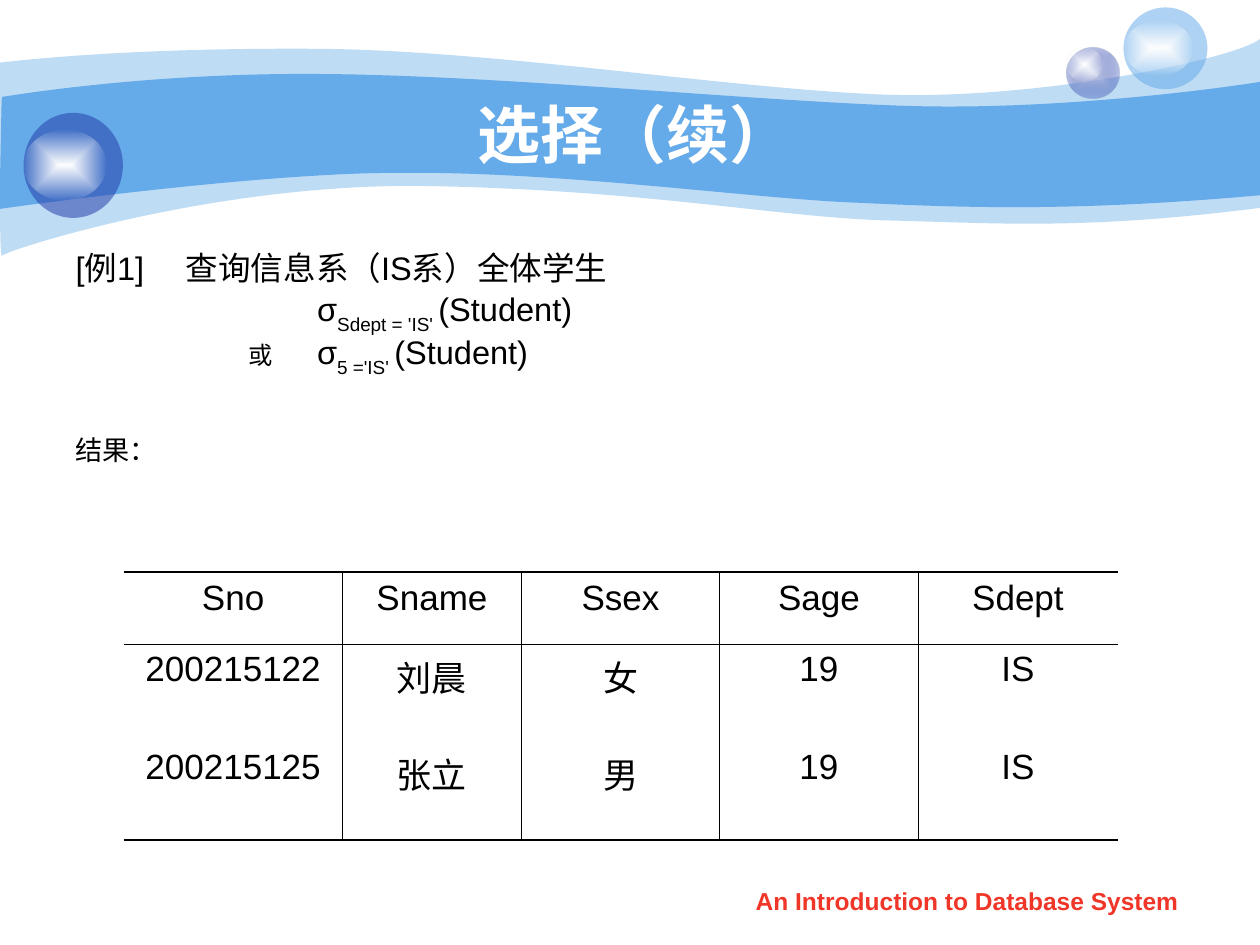
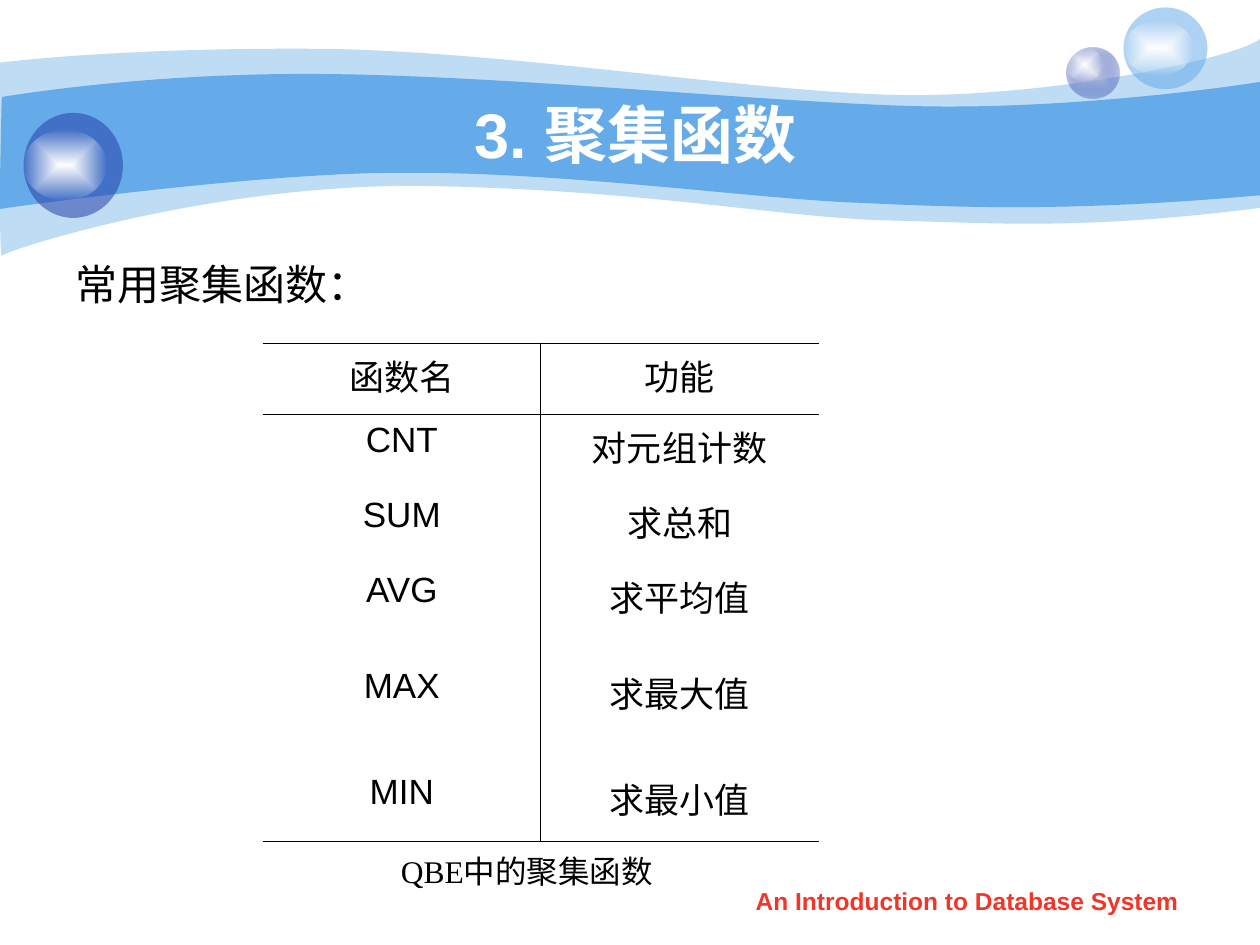
from dataclasses import dataclass
from typing import Optional

from lxml.etree import SubElement
from pptx import Presentation
from pptx.dml.color import RGBColor
from pptx.enum.shapes import MSO_SHAPE
from pptx.enum.text import MSO_ANCHOR, MSO_AUTO_SIZE, PP_ALIGN
from pptx.oxml.ns import qn
from pptx.shapes.autoshape import Shape
from pptx.shapes.group import GroupShape
from pptx.slide import Slide, SlideMaster
from pptx.table import _Cell
from pptx.text.text import TextFrame, _Paragraph, _Run
from pptx.util import Pt

SKY = RGBColor(0x65, 0xAA, 0xE9)
NAVY = RGBColor(0x23, 0x3D, 0xA9)
LAVENDER = RGBColor(0xC7, 0xCE, 0xE9)
WHITE = RGBColor(0xFF, 0xFF, 0xFF)
BLACK = RGBColor(0x00, 0x00, 0x00)
RED = RGBColor(0xF0, 0x36, 0x28)

SANS = "Arial"
SERIF = "Times New Roman"
THICK, THIN = 1.08, 0.45

Point = tuple[float, float]


@dataclass(frozen=True)
class Box:
    left: float
    top: float
    width: float
    height: float

    def lengths(self) -> tuple[Pt, Pt, Pt, Pt]:
        return Pt(self.left), Pt(self.top), Pt(self.width), Pt(self.height)


@dataclass(frozen=True)
class Wave:
    start: Point
    curves: list[tuple[Point, ...]]
    opacity: int


@dataclass(frozen=True)
class Orb:
    ball: Box
    glow: Box
    color: RGBColor
    opacity: int
    center: Optional[RGBColor] = None


@dataclass(frozen=True)
class Piece:
    text: str
    size: float
    subscript: bool = False


@dataclass(frozen=True)
class Line:
    pieces: list[Piece]
    margin: float = 27
    hanging: float = 27
    space_before: float = 0
    spacing: float = 1


@dataclass(frozen=True)
class Grid:
    left: float
    top: float
    widths: list[float]
    heights: list[float]
    rows: list[list[str]]


WAVES = [
    Wave((0, 35.8), [
        ((17.3, 33.8), (77.8, 27.4), (177.8, 27.9)),
        ((277.9, 28.1), (414, 50.4), (503.3, 54)),
        ((591.8, 57.6), (705.6, 33.8), (720, 22.3)),
        ((720, 118.8),),
        ((618.5, 131.8), (567.4, 127.4), (507.6, 126)),
        ((447.8, 124.6), (370.8, 108.7), (247, 106.4)),
        ((123.8, 103.7), (2.9, 143.3), (1.1, 146.2)),
        ((-0.7, 149.8), (0, 54), (0, 35.8)),
    ], 41),
    Wave((1.1, 55.4), [
        ((2.2, 55.4), (79.2, 41.8), (178.6, 42.3)),
        ((278.6, 42.5), (429.1, 57.6), (517, 60.5)),
        ((605.5, 63.4), (702.7, 49.7), (720, 46.8)),
        ((720, 111.6),),
        ((614.2, 121), (551.5, 118.8), (491, 115.9)),
        ((431.3, 113.8), (321.8, 97.9), (228.2, 98.8)),
        ((146.2, 98.6), (-1.4, 119.5), (-0.7, 119.5)),
        ((0, 119.5), (0.7, 55.4), (1.1, 55.4)),
    ], 100),
]

ORBS = [
    Orb(Box(609.5, 27.25, 30.25, 29), Box(609.5, 27.25, 20.25, 19.5), NAVY, 31, LAVENDER),
    Orb(Box(642, 4.25, 48, 46.75), Box(642, 12, 40, 31), SKY, 53),
    Orb(Box(13.5, 64.5, 56.75, 60), Box(13.5, 74, 47.5, 40.5), NAVY, 53),
]

TITLE_BOX = Box(72, 54, 582, 44.5)
FOOTER_BOX = Box(411, 502.5, 283.5, 25)
FOOTER = "An Introduction to Database System"

SELECTION_LINES = [
    Line([Piece("[例1]\t查询信息系（IS系）全体学生", 18.6)], 63, 63, spacing=0.7),
    Line([Piece("σ", 18.6), Piece("Sdept = 'IS' ", 18.6, True),
          Piece("(Student)", 18.6)], 138, 0, 6, 0.7),
    Line([Piece("或\t", 13.9), Piece("σ", 18.6), Piece("5 ='IS' ", 18.6, True),
          Piece("(Student)", 18.6)], 138, 39, 6, 0.7),
    Line([Piece("结果：", 15.5)], space_before=40.5, spacing=0.7),
]
STUDENTS = Grid(70.75, 327, [125, 102.25, 113.25, 113.5, 114], [41, 56, 56], [
    ["Sno", "Sname", "Ssex", "Sage", "Sdept"],
    ["200215122", "刘晨", "女", "19", "IS"],
    ["200215125", "张立", "男", "19", "IS"],
])
AGGREGATES = Grid(150.25, 196.25, [158.75, 158.75], [40.5, 43, 42.75, 55, 60.5, 43], [
    ["函数名", "功能"],
    ["CNT", "对元组计数"],
    ["SUM", "求总和"],
    ["AVG", "求平均值"],
    ["MAX", "求最大值"],
    ["MIN", "求最小值"],
])


def style_run(run: _Run, size: float, color: RGBColor = BLACK,
              bold: bool = False, font: str = SANS) -> None:
    run.font.name = font
    run.font.size = Pt(size)
    run.font.color.rgb = color
    run.font.bold = bold


def write(frame: TextFrame, text: str, size: float, color: RGBColor = BLACK,
          bold: bool = False, font: str = SANS,
          align: PP_ALIGN = PP_ALIGN.CENTER) -> None:
    frame.text = text
    paragraph = frame.paragraphs[0]
    paragraph.alignment = align
    style_run(paragraph.runs[0], size, color, bold, font)


def paint(shape: Shape, color: RGBColor, opacity: int) -> None:
    shape.shadow.inherit = False
    shape.line.fill.background()
    shape.fill.solid()
    shape.fill.fore_color.rgb = color
    if opacity < 100:
        tint = shape.element.spPr.find(f".//{qn('a:srgbClr')}")
        SubElement(tint, qn("a:alpha"), val=str(opacity * 1000))


def paint_radiant(shape: Shape, center: RGBColor, edge: RGBColor, opacity: int) -> None:
    paint(shape, edge, 100)
    properties = shape.element.spPr
    solid = properties.find(qn("a:solidFill"))
    gradient = properties.makeelement(qn("a:gradFill"), {"rotWithShape": "1"})
    stops = SubElement(gradient, qn("a:gsLst"))
    for position, color, alpha in ((0, center, 100), (100, edge, opacity)):
        stop = SubElement(stops, qn("a:gs"), pos=str(position * 1000))
        tint = SubElement(stop, qn("a:srgbClr"), val=str(color))
        SubElement(tint, qn("a:alpha"), val=str(alpha * 1000))
    spread = SubElement(gradient, qn("a:path"), {"path": "rect"})
    SubElement(spread, qn("a:fillToRect"), {side: "50000" for side in "ltrb"})
    properties.replace(solid, gradient)


def draw_wave(slide: Slide, wave: Wave) -> Shape:
    outline = slide.shapes.build_freeform(Pt(wave.start[0]), Pt(wave.start[1]))
    outline.add_line_segments(
        [(Pt(x), Pt(y)) for curve in wave.curves for x, y in curve], close=True)
    shape = outline.convert_to_shape()
    segments = iter(shape.element.findall(f".//{qn('a:lnTo')}"))
    for curve in wave.curves:
        controls = [next(segments) for _ in curve]
        if len(controls) == 3:
            bend = controls[0].makeelement(qn("a:cubicBezTo"), {})
            controls[0].addprevious(bend)
            for control in controls:
                bend.append(control[0])
                control.getparent().remove(control)
    paint(shape, SKY, wave.opacity)
    return shape


def draw_orb(slide: Slide, orb: Orb) -> GroupShape:
    ball, glow = (slide.shapes.add_shape(MSO_SHAPE.OVAL, *box.lengths())
                  for box in (orb.ball, orb.glow))
    if orb.center is None:
        paint(ball, orb.color, orb.opacity)
    else:
        paint_radiant(ball, orb.center, orb.color, orb.opacity)
    paint_radiant(glow, WHITE, WHITE, 0)
    return slide.shapes.add_group_shape([ball, glow])


def decorate_master(master: SlideMaster, slide: Slide) -> None:
    decorations = [draw_wave(slide, wave) for wave in WAVES]
    decorations += [draw_orb(slide, orb) for orb in ORBS]
    for decoration in decorations:
        master.shapes.element.append(decoration.element)


def place(shape: Shape, box: Box) -> None:
    shape.left, shape.top, shape.width, shape.height = box.lengths()


def write_line(paragraph: _Paragraph, line: Line) -> None:
    paragraph.alignment = PP_ALIGN.JUSTIFY
    paragraph.line_spacing = line.spacing
    paragraph.space_before = Pt(line.space_before)
    properties = paragraph._p.get_or_add_pPr()
    properties.set("marL", str(Pt(line.margin)))
    properties.set("indent", str(-Pt(line.hanging)))
    SubElement(properties, qn("a:buNone"))
    SubElement(SubElement(properties, qn("a:tabLst")), qn("a:tab"), pos="0", algn="l")
    for piece in line.pieces:
        run = paragraph.add_run()
        run.text = piece.text
        style_run(run, piece.size)
        if piece.subscript:
            run._r.get_or_add_rPr().set("baseline", "-30000")


def fill_slide(slide: Slide, title: str, body_box: Box, lines: list[Line]) -> None:
    heading, body = slide.shapes.title, slide.placeholders[1]
    place(heading, TITLE_BOX)
    heading.text_frame.auto_size = MSO_AUTO_SIZE.NONE
    heading.text_frame.vertical_anchor = MSO_ANCHOR.MIDDLE
    write(heading.text_frame, title, 36, WHITE, bold=True)

    place(body, body_box)
    body.text_frame.auto_size = MSO_AUTO_SIZE.NONE
    for index, line in enumerate(lines):
        write_line(body.text_frame.add_paragraph() if index else body.text_frame.paragraphs[0],
                   line)

    footer = slide.shapes.add_textbox(*FOOTER_BOX.lengths())
    footer.text_frame.word_wrap = True
    write(footer.text_frame, FOOTER, 14, RED, bold=True)


def set_borders(cell: _Cell, widths: dict[str, float]) -> None:
    properties = cell._tc.get_or_add_tcPr()
    for side in "LRTB":
        width = widths.get(side, 0)
        edge = SubElement(properties, qn(f"a:ln{side}"), w=str(Pt(width)))
        if width:
            SubElement(SubElement(edge, qn("a:solidFill")), qn("a:srgbClr"), val=str(BLACK))
        else:
            SubElement(edge, qn("a:noFill"))


def draw_grid(slide: Slide, grid: Grid) -> None:
    last_row, last_column = len(grid.rows) - 1, len(grid.widths) - 1
    box = Box(grid.left, grid.top, sum(grid.widths), sum(grid.heights))
    table = slide.shapes.add_table(last_row + 1, last_column + 1, *box.lengths()).table
    table.first_row = table.horz_banding = False
    for column, width in zip(table.columns, grid.widths):
        column.width = Pt(width)
    for row, height in zip(table.rows, grid.heights):
        row.height = Pt(height)
    for r, values in enumerate(grid.rows):
        for c, value in enumerate(values):
            cell = table.cell(r, c)
            write(cell.text_frame, value, 20)
            set_borders(cell, {
                "L": THIN if c else 0,
                "R": THIN if c < last_column else 0,
                "T": {0: THICK, 1: THIN}.get(r, 0),
                "B": {0: THIN, last_row: THICK}.get(r, 0),
            })
            cell.fill.background()


def main() -> None:
    deck = Presentation()
    deck.slide_width, deck.slide_height = Pt(720), Pt(540)
    layout = deck.slide_layouts[1]

    selection = deck.slides.add_slide(layout)
    decorate_master(deck.slide_master, selection)
    fill_slide(selection, "选择（续）", Box(36, 144, 579, 132), SELECTION_LINES)
    draw_grid(selection, STUDENTS)

    aggregation = deck.slides.add_slide(layout)
    fill_slide(aggregation, "3. 聚集函数", Box(36, 144, 318, 354),
               [Line([Piece("常用聚集函数：", 24)])])
    caption = aggregation.shapes.add_textbox(*Box(222, 483, 166, 29).lengths())
    caption.text_frame.word_wrap = False
    caption.text_frame.vertical_anchor = MSO_ANCHOR.MIDDLE
    write(caption.text_frame, "QBE中的聚集函数", 18, font=SERIF, align=PP_ALIGN.LEFT)
    draw_grid(aggregation, AGGREGATES)

    deck.save("out.pptx")


if __name__ == "__main__":
    main()
